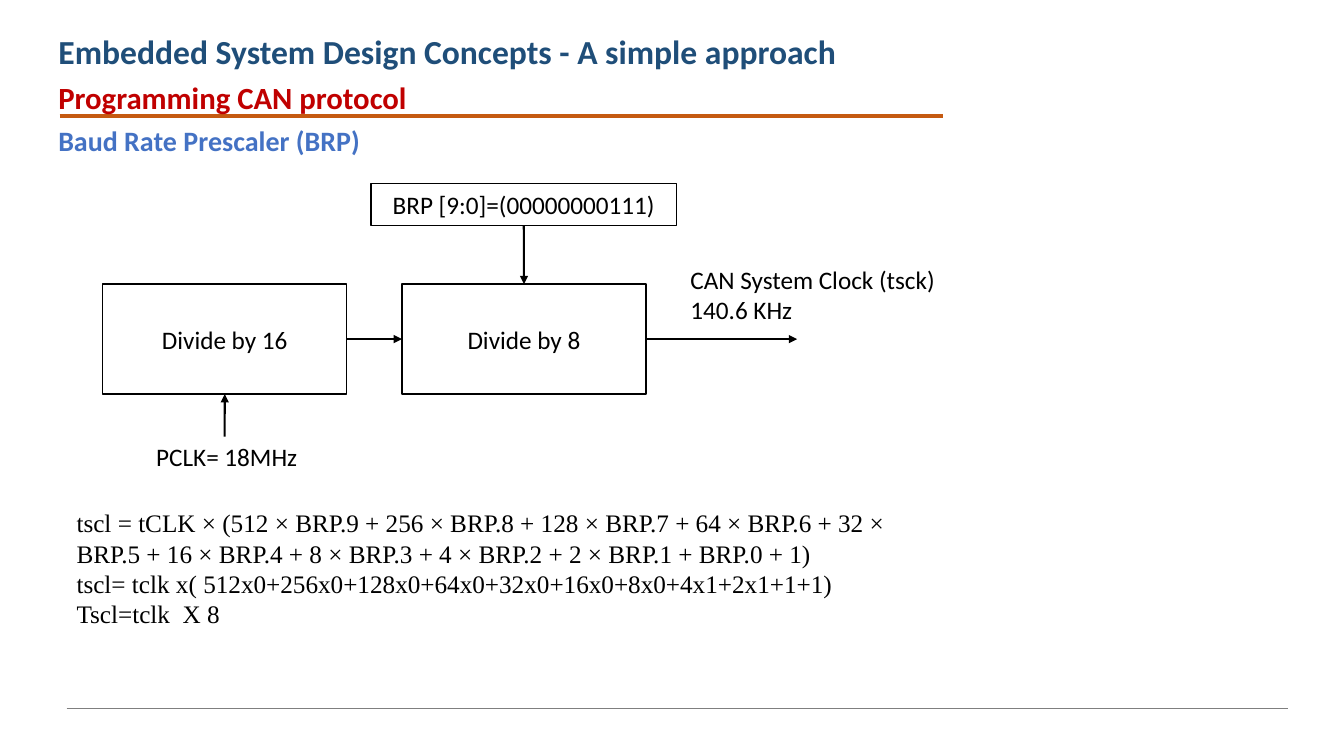
import pptx
import pptx.util
import pptx.dml.color
import pptx.enum.shapes
import pptx.enum.text
import pptx.oxml
import pptx.oxml.ns

Cm, Pt = pptx.util.Cm, pptx.util.Pt
ALIGN = pptx.enum.text.PP_ALIGN
ANCHOR = pptx.enum.text.MSO_ANCHOR
BLACK, WHITE, ORANGE = "000000", "FFFFFF", "C55A11"
TOP, LEFT, BOTTOM, RIGHT = range(4)


def paint(color, code):
    color.rgb = pptx.dml.color.RGBColor.from_string(code)


def write(shape, text, size=18, font="Calibri", color=BLACK, bold=False,
          align=ALIGN.LEFT, anchor=ANCHOR.TOP):
    """Fill a shape with text, one paragraph per line."""
    frame = shape.text_frame
    frame.word_wrap = True
    frame.auto_size = pptx.enum.text.MSO_AUTO_SIZE.NONE
    frame.vertical_anchor = anchor
    frame.text = text
    for para in frame.paragraphs:
        para.alignment = align
        for run in para.runs:
            run.font.name, run.font.size, run.font.bold = font, Pt(size), bold
            paint(run.font.color, color)


def label(slide, x, y, w, h, text, **style):
    box = slide.shapes.add_textbox(Cm(x), Cm(y), Cm(w), Cm(h))
    write(box, text, **style)


def block(slide, x, y, w, h, text):
    box = slide.shapes.add_shape(
        pptx.enum.shapes.MSO_SHAPE.RECTANGLE, Cm(x), Cm(y), Cm(w), Cm(h))
    box.shadow.inherit = False
    box.fill.solid()
    paint(box.fill.fore_color, WHITE)
    paint(box.line.color, BLACK)
    box.line.width = Pt(1)
    write(box, text, align=ALIGN.CENTER, anchor=ANCHOR.MIDDLE)
    return box


def rule(slide, x1, y1, x2, y2, color, width):
    line = slide.shapes.add_connector(
        pptx.enum.shapes.MSO_CONNECTOR.STRAIGHT, Cm(x1), Cm(y1), Cm(x2), Cm(y2))
    paint(line.line.color, color)
    line.line.width = Pt(width)
    line._element.spPr.append(pptx.oxml.parse_xml(
        "<a:effectLst %s/>" % pptx.oxml.ns.nsdecls("a")))
    return line


def arrow(slide, x1, y1, x2, y2, start=None, end=None):
    """Draw an arrow; start and end are (block, side) pairs to join."""
    line = rule(slide, x1, y1, x2, y2, BLACK, 1.5)
    line.line._get_or_add_ln().append(pptx.oxml.parse_xml(
        '<a:tailEnd %s type="triangle"/>' % pptx.oxml.ns.nsdecls("a")))
    if start:
        line.begin_connect(*start)
    if end:
        line.end_connect(*end)


def header(slide):
    title = slide.shapes.title
    title.left, title.top = Cm(1.22), Cm(0.66)
    title.width, title.height = Cm(20.83), Cm(1.3)
    write(title, "Embedded System Design Concepts - A simple approach",
          size=24, color="1F4E79", bold=True)
    rule(slide, 1.5, 2.92, 23.77, 2.92, ORANGE, 3)
    label(slide, 1.22, 1.85, 21.54, 1.19, "Programming CAN protocol",
          size=22, color="C00000", bold=True)
    label(slide, 1.22, 3, 21.18, 1.12, "Baud Rate Prescaler (BRP)",
          size=20, color="4472C4", bold=True)


def diagram(slide):
    wide, high, top = 6.15, 2.77, 7.16
    mid, base = top + high / 2, top + high
    first = block(slide, 2.59, top, wide, high, "Divide by 16")
    second = block(slide, 10.13, top, wide, high, "Divide by 8")
    scale = block(slide, 9.35, 4.62, 7.7, 1.07, "BRP [9:0]=(00000000111)")

    # Clock input, divider chain and output
    arrow(slide, 5.66, 11, 5.66, base, end=(first, BOTTOM))
    arrow(slide, 8.74, mid, 10.13, mid, (first, RIGHT), (second, LEFT))
    arrow(slide, 13.2, 5.69, 13.2, top, (scale, BOTTOM), (second, TOP))
    arrow(slide, 16.28, mid, 20.09, mid, start=(second, RIGHT))
    label(slide, 2.64, 11, wide, 1.02, "PCLK= 18MHz", align=ALIGN.CENTER)
    label(slide, 17.15, 6.53, 6.99, 1.8, "CAN System Clock (tsck)\n140.6 KHz")


def main():
    deck = pptx.Presentation()
    deck.slide_width, deck.slide_height = Cm(33.87), Cm(19.05)
    slide = deck.slides.add_slide(deck.slide_layouts[5])
    header(slide)
    diagram(slide)

    # Formula
    label(slide, 1.68, 12.67, 21.59, 3.33,
          "tscl = tCLK × (512 × BRP.9 + 256 × BRP.8 + 128 × BRP.7 + "
          "64 × BRP.6 + 32 × BRP.5 + 16 × BRP.4 + 8 × BRP.3 + "
          "4 × BRP.2 + 2 × BRP.1 + BRP.0 + 1)\n"
          "tscl= tclk x( 512x0+256x0+128x0+64x0+32x0+16x0+8x0+4x1+2x1+1+1)\n"
          "Tscl=tclk  X 8", font="Times New Roman")

    # Footer line
    rule(slide, 1.68, 17.85, 32.46, 17.85, "7F7F7F", 0.75)
    deck.save("out.pptx")


if __name__ == "__main__":
    main()
